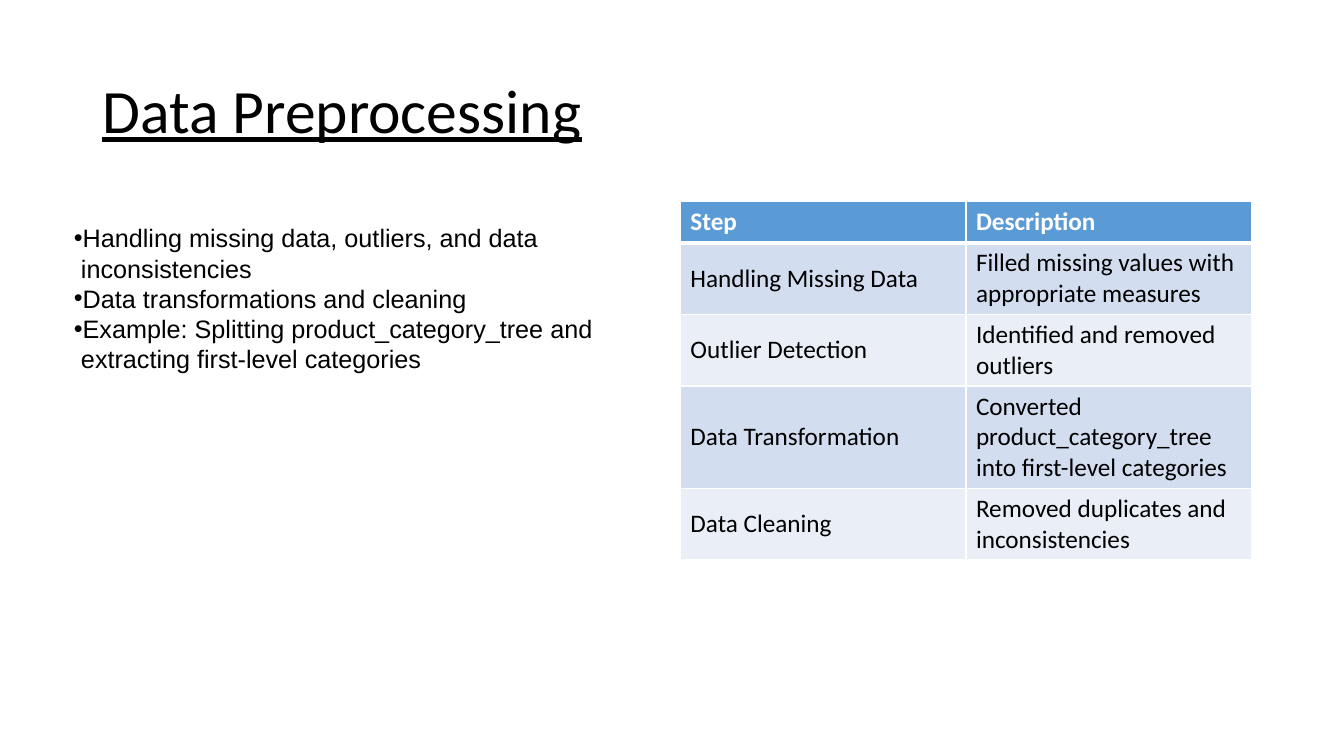
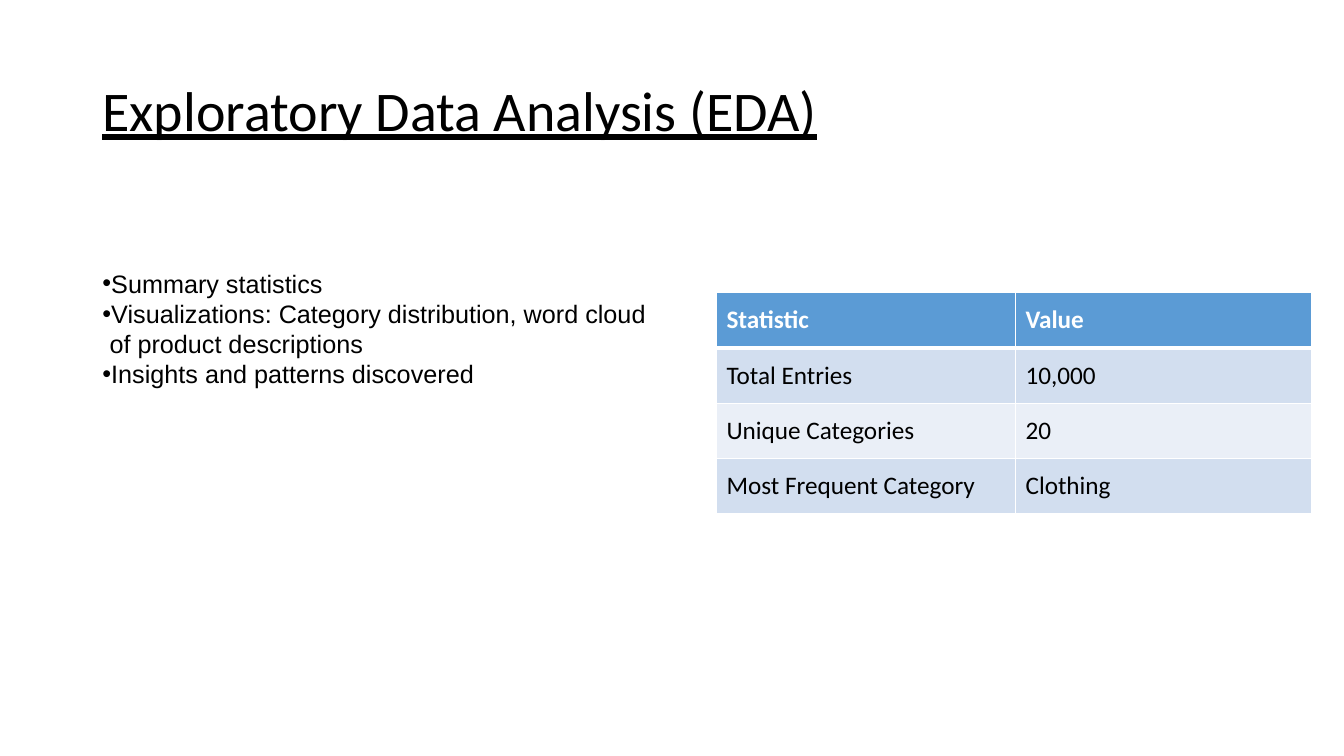
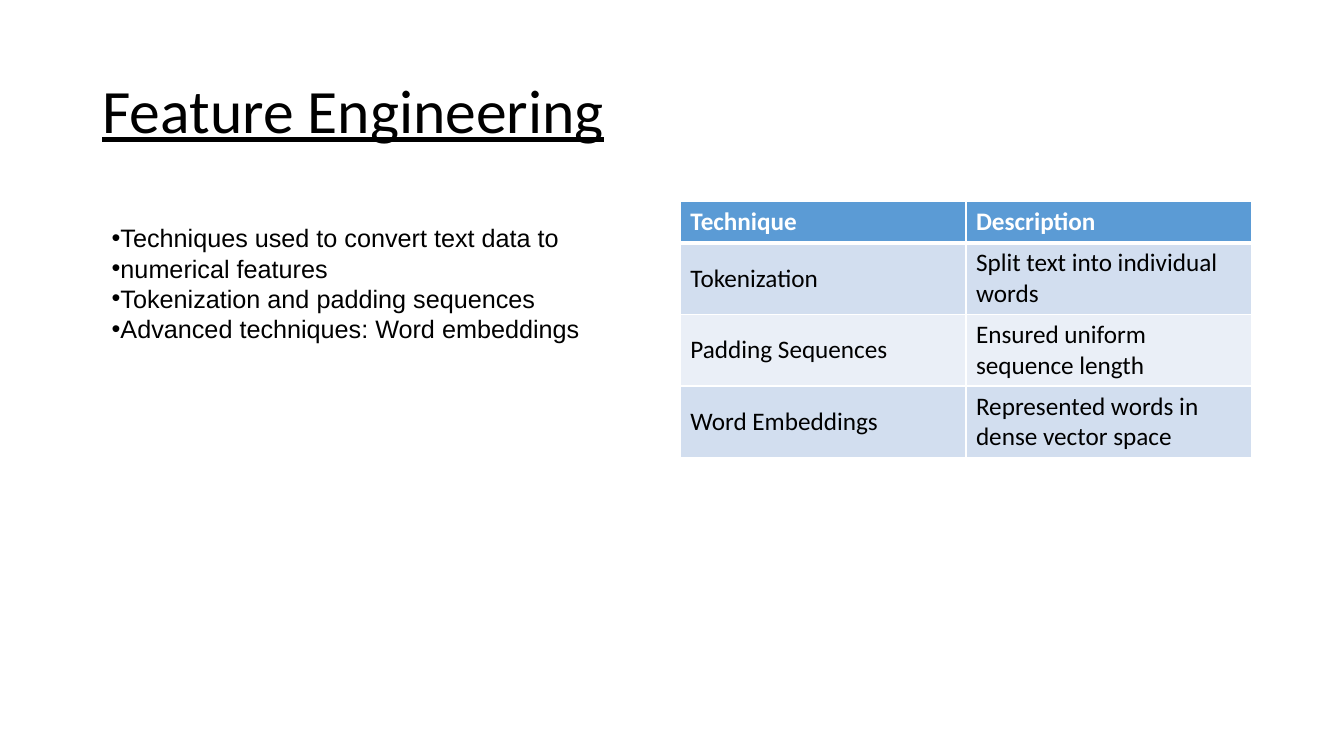
from lxml.etree import SubElement
from pptx import Presentation
from pptx.dml.color import RGBColor
from pptx.enum.text import MSO_ANCHOR, MSO_AUTO_SIZE, PP_ALIGN
from pptx.oxml.ns import qn
from pptx.util import Inches, Pt

COLORS = {"ink": "000000", "white": "FFFFFF", "header": "5B9BD5",
          "odd": "D2DEEF", "even": "EAEFF7"}
COLS, ROWS = 160, 90
TITLE_BOX = (11, 4.8, 138, 17.4)
HEADER_ROW, TWO_LINES, THREE_LINES = 4.9, 8.4, 12


def unit(n):
    """Length of n grid cells, twelve to the inch."""
    return Inches(n / 12)


class Deck:
    title_font = {"name": "Calibri", "underline": True}
    list_font = {"name": "Arial", "size": Pt(18)}
    cell_font = {"name": "Calibri", "size": Pt(18)}

    def __init__(self):
        self.prs = Presentation()
        self.prs.slide_width, self.prs.slide_height = unit(COLS), unit(ROWS)

    def add_text(self, p, text, color="ink", **font):
        r = p.add_run()
        r.text = text
        for name, value in font.items():
            setattr(r.font, name, value)
        r.font.color.rgb = RGBColor.from_string(COLORS[color])

    def frame(self, sp, box, anchor):
        """Place a placeholder and return its text frame."""
        for name, n in zip(("left", "top", "width", "height"), box):
            setattr(sp, name, unit(n))
        tf = sp.text_frame
        settings = {"word_wrap": True, "auto_size": MSO_AUTO_SIZE.NONE,
                    "vertical_anchor": anchor}
        for name, value in settings.items():
            setattr(tf, name, value)
        return tf

    def slide(self, title, size=44):
        self.s = self.prs.slides.add_slide(self.prs.slide_layouts[1])
        tf = self.frame(self.s.shapes.title, TITLE_BOX, MSO_ANCHOR.MIDDLE)
        p = tf.paragraphs[0]
        p.alignment, p.line_spacing = PP_ALIGN.LEFT, 0.9
        self.add_text(p, title, size=Pt(size), **self.title_font)

    def bullets(self, box, items):
        tf = self.frame(self.s.placeholders[1], box, MSO_ANCHOR.TOP)
        tf.margin_top = unit(4.3)
        hang = Inches(0.07)
        for i, item in enumerate(items):
            p = tf.add_paragraph() if i else tf.paragraphs[0]
            p.space_before = Pt(0)
            pPr = p._p.get_or_add_pPr()
            pPr.set("marL", str(hang))
            pPr.set("indent", str(-hang))
            self.add_text(p, item, **self.list_font)

    def borders(self, cell, top, bottom):
        tcPr = cell._tc.get_or_add_tcPr()
        for side, width in zip("LRTB", (1, 1, top, bottom)):
            ln = SubElement(tcPr, qn(f"a:ln{side}"), w=str(Pt(width)))
            fill = SubElement(ln, qn("a:solidFill"))
            SubElement(fill, qn("a:srgbClr"), val=COLORS["white"])

    def table(self, left, top, widths, heights, rows):
        t = self.s.shapes.add_table(
            len(rows), len(widths), unit(left), unit(top),
            unit(sum(widths)), unit(sum(heights))).table
        for col, w in zip(t.columns, widths):
            col.width = unit(w)
        for i, (row, h, texts) in enumerate(zip(t.rows, heights, rows)):
            row.height = unit(h)
            band = "header" if i == 0 else "odd" if i % 2 else "even"
            for cell, text in zip(row.cells, texts):
                cell.vertical_anchor = MSO_ANCHOR.MIDDLE
                self.borders(cell, 3 if i == 1 else 1, 3 if i == 0 else 1)
                cell.fill.solid()
                cell.fill.fore_color.rgb = RGBColor.from_string(COLORS[band])
                self.add_text(cell.text_frame.paragraphs[0], text,
                              "ink" if i else "white", bold=i == 0, **self.cell_font)


def main():
    d = Deck()

    d.slide("Data Preprocessing")
    d.bullets((7.6, 22.2, 65.5, 23), [
        "Handling missing data, outliers, and data inconsistencies",
        "Data transformations and cleaning",
        "Example: Splitting product_category_tree and extracting first-level categories"])
    d.table(81, 24, [34, 34],
            [HEADER_ROW, TWO_LINES, TWO_LINES, THREE_LINES, TWO_LINES], [
        ("Step", "Description"),
        ("Handling Missing Data", "Filled missing values with appropriate measures"),
        ("Outlier Detection", "Identified and removed outliers"),
        ("Data Transformation",
         "Converted product_category_tree into first-level categories"),
        ("Data Cleaning", "Removed duplicates and inconsistencies")])

    d.slide("Exploratory Data Analysis (EDA)", size=40)
    d.bullets((11, 27.6, 68.5, 19.4), [
        "Summary statistics",
        "Visualizations: Category distribution, word cloud of product descriptions",
        "Insights and patterns discovered"])
    d.table(85.3, 34.8, [35.6, 35.2], [6.6] * 4, [
        ("Statistic", "Value"),
        ("Total Entries", "10,000"),
        ("Unique Categories", "20"),
        ("Most Frequent Category", "Clothing")])

    d.slide("Feature Engineering")
    d.bullets((12.1, 22.2, 59.5, 19.4), [
        "Techniques used to convert text data to",
        "numerical features",
        "Tokenization and padding sequences",
        "Advanced techniques: Word embeddings"])
    d.table(81, 24, [34, 34], [HEADER_ROW] + [TWO_LINES] * 3, [
        ("Technique", "Description"),
        ("Tokenization", "Split text into individual words"),
        ("Padding Sequences", "Ensured uniform sequence length"),
        ("Word Embeddings", "Represented words in dense vector space")])

    d.prs.save("out.pptx")


if __name__ == "__main__":
    main()
